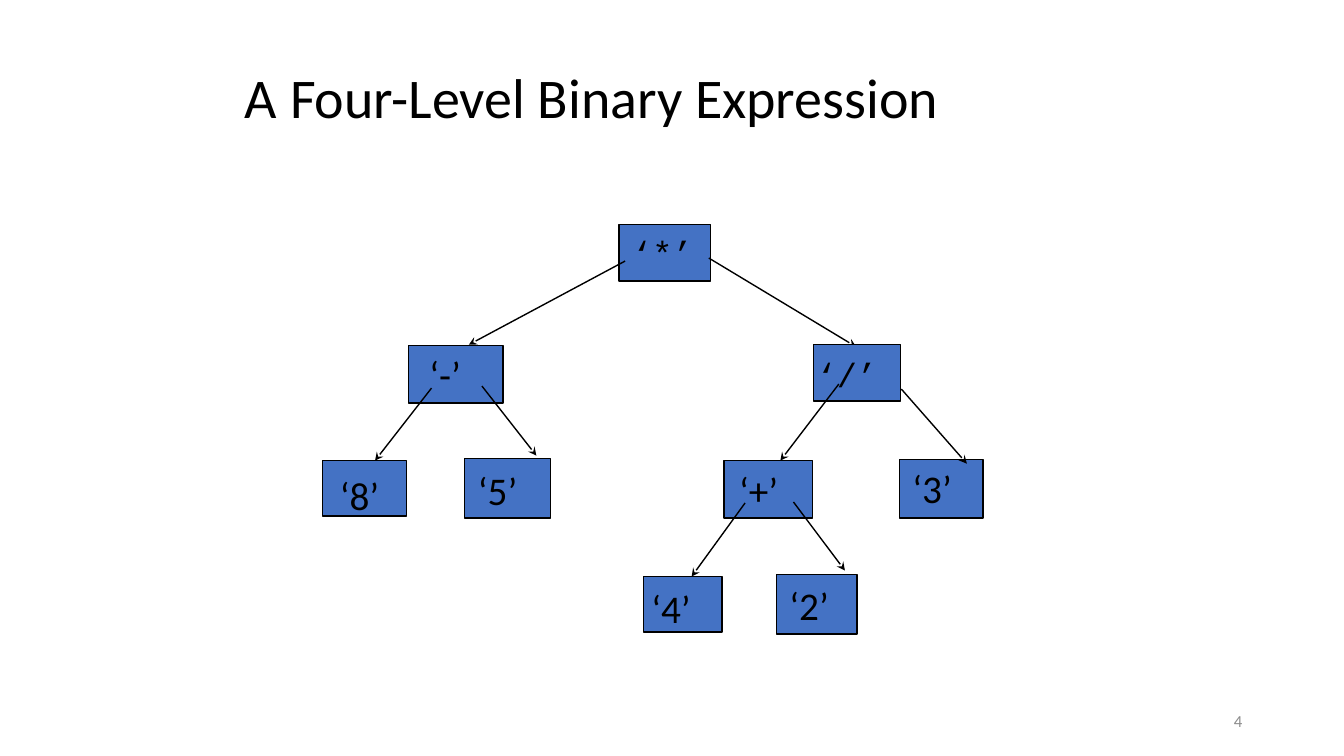
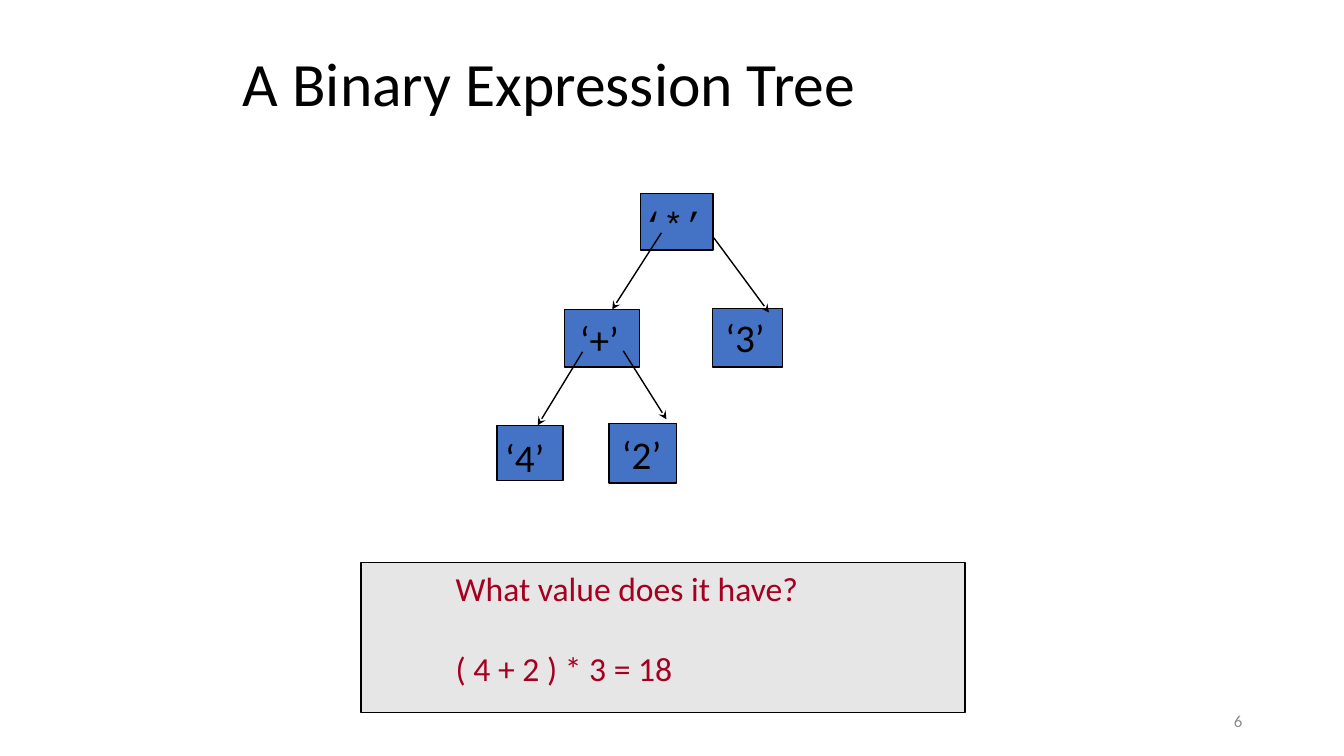
import pptx
import pptx.util
import pptx.dml.color
import pptx.enum.shapes
import pptx.enum.text
import pptx.oxml.ns
from lxml import etree

Inches = pptx.util.Inches
ALIGN = pptx.enum.text.PP_ALIGN
ANCHOR = pptx.enum.text.MSO_ANCHOR

# Shared look
BLACK, BLUE, GRAY, PALE, RED = "000000", "4472C4", "8C8C8C", "E7E6E6", "A50021"
SANS, MONO = "Calibri", "Courier New"

# Nodes: label, left, top, width, height, text inset from left and top
# Edges: parent x, y, child x, y
TOP_NODES = [
    ("‘*’", 6.14, 2.23, 0.91, 0.56, 0.13, 0.07),
    ("‘-’", 4.05, 3.43, 0.94, 0.57, 0.21, 0.05),
    ("‘8’", 3.2, 4.57, 0.83, 0.55, 0.17, 0.11),
    ("‘5’", 4.61, 4.55, 0.85, 0.59, 0.13, 0.08),
]
TOP_EDGES = [
    (7.03, 2.56, 8.49, 3.44),
    (6.2, 2.59, 4.65, 3.42),
    (4.78, 3.83, 5.32, 4.52),
    (4.28, 3.85, 3.72, 4.57),
]

# The subtree on both slides, measured from its own corner
SUB_NODES = [
    ("‘+’", 0.8, 1.15, 0.88, 0.57, 0.15, 0.06),
    ("‘3’", 2.54, 1.14, 0.83, 0.58, 0.13, 0.05),
    ("‘4’", 0, 2.3, 0.78, 0.55, 0.08, 0.08),
    ("‘2’", 1.32, 2.28, 0.8, 0.59, 0.13, 0.07),
]
SUB_EDGES = [
    (2.56, 0.44, 3.21, 1.18),
    (1.94, 0.39, 1.36, 1.15),
    (1.49, 1.56, 2, 2.24),
    (1.01, 1.57, 0.48, 2.3),
]


def rgb(code):
    return pptx.dml.color.RGBColor.from_string(code)


def style(frame, size, color=BLACK, font=SANS, align=ALIGN.LEFT):
    for para in frame.paragraphs:
        para.alignment = align
        for run in para.runs:
            run.font.size = pptx.util.Pt(size)
            run.font.name = font
            run.font.color.rgb = rgb(color)


def add_page(deck, title, number, place, size):
    """Add a slide with its title and page number."""
    slide = deck.slides.add_slide(deck.slide_layouts[5])
    head = slide.shapes.title
    head.left, head.top, head.width, head.height = map(Inches, place)
    frame = head.text_frame
    frame.text = title
    frame.vertical_anchor = ANCHOR.MIDDLE
    frame.paragraphs[0].line_spacing = 0.9
    style(frame, size)

    note = slide.shapes.add_textbox(*map(Inches, (9.42, 6.95, 3, 0.4)))
    note.text_frame.text = str(number)
    note.text_frame.word_wrap = True
    note.text_frame.vertical_anchor = ANCHOR.MIDDLE
    style(note.text_frame, 12, GRAY, align=ALIGN.RIGHT)
    return slide


def add_box(slide, text, place, inset, fill):
    """Add an outlined box with text set in from its top left corner."""
    box = slide.shapes.add_shape(
        pptx.enum.shapes.MSO_SHAPE.RECTANGLE, *map(Inches, place))
    box.shadow.inherit = False
    box.fill.solid()
    box.fill.fore_color.rgb = rgb(fill)
    box.line.color.rgb = rgb(BLACK)
    box.line.width = pptx.util.Pt(1)
    frame = box.text_frame
    frame.text = text
    frame.word_wrap = True
    frame.vertical_anchor = ANCHOR.TOP
    frame.margin_left, frame.margin_top = map(Inches, inset)
    frame.margin_right = frame.margin_bottom = 0
    return frame


def add_arrow(slide, ends):
    line = slide.shapes.add_connector(
        pptx.enum.shapes.MSO_CONNECTOR.STRAIGHT, *map(Inches, ends))
    line.line.color.rgb = rgb(BLACK)
    line.line.width = pptx.util.Pt(1)
    qn = pptx.oxml.ns.qn
    props = line.line._get_or_add_ln()
    etree.SubElement(props, qn("a:tailEnd"), type="stealth")
    etree.SubElement(props.getparent(), qn("a:effectLst"))


def add_tree(slide, nodes, edges, left=0, top=0, scale=1):
    """Draw boxes, then arrows; scale stretches the width only."""
    for text, x, y, wide, high, *inset in nodes:
        place = (left + x * scale, top + y, wide * scale, high)
        frame = add_box(slide, text, place, inset, BLUE)
        if text in ("‘*’", "‘/’"):
            style(frame, 24, font=MONO)
        else:
            style(frame, 28)
    for x1, y1, x2, y2 in edges:
        add_arrow(slide, (left + x1 * scale, top + y1,
                          left + x2 * scale, top + y2))


def add_sub(slide, root, left, top, scale=1):
    node = (root, 1.69, 0, 0.86, 0.56, 0.03, 0.09)
    add_tree(slide, [node] + SUB_NODES, SUB_EDGES, left, top, scale)


def main():
    deck = pptx.Presentation()
    deck.slide_width, deck.slide_height = Inches(13.33), Inches(7.5)

    # Full tree
    slide = add_page(deck, "A Four-Level Binary Expression", 4,
                     (2.33, 0.58, 8.42, 0.83), 40)
    add_tree(slide, TOP_NODES, TOP_EDGES)
    add_sub(slide, "‘/’", 6.38, 3.42)

    # Small tree and its value
    slide = add_page(deck, "A Binary Expression Tree", 6,
                     (2.31, 0.23, 8.58, 1.25), 44)
    add_sub(slide, "‘*’", 4.93, 1.92, 0.84)
    frame = add_box(slide, "What value does it have?\n( 4 + 2 ) * 3 = 18",
                    (3.58, 5.58, 5.99, 1.49), (0.94, 0.05), PALE)
    frame.paragraphs[1].space_before = pptx.util.Pt(29)
    style(frame, 24, RED)

    deck.save("out.pptx")


if __name__ == "__main__":
    main()
